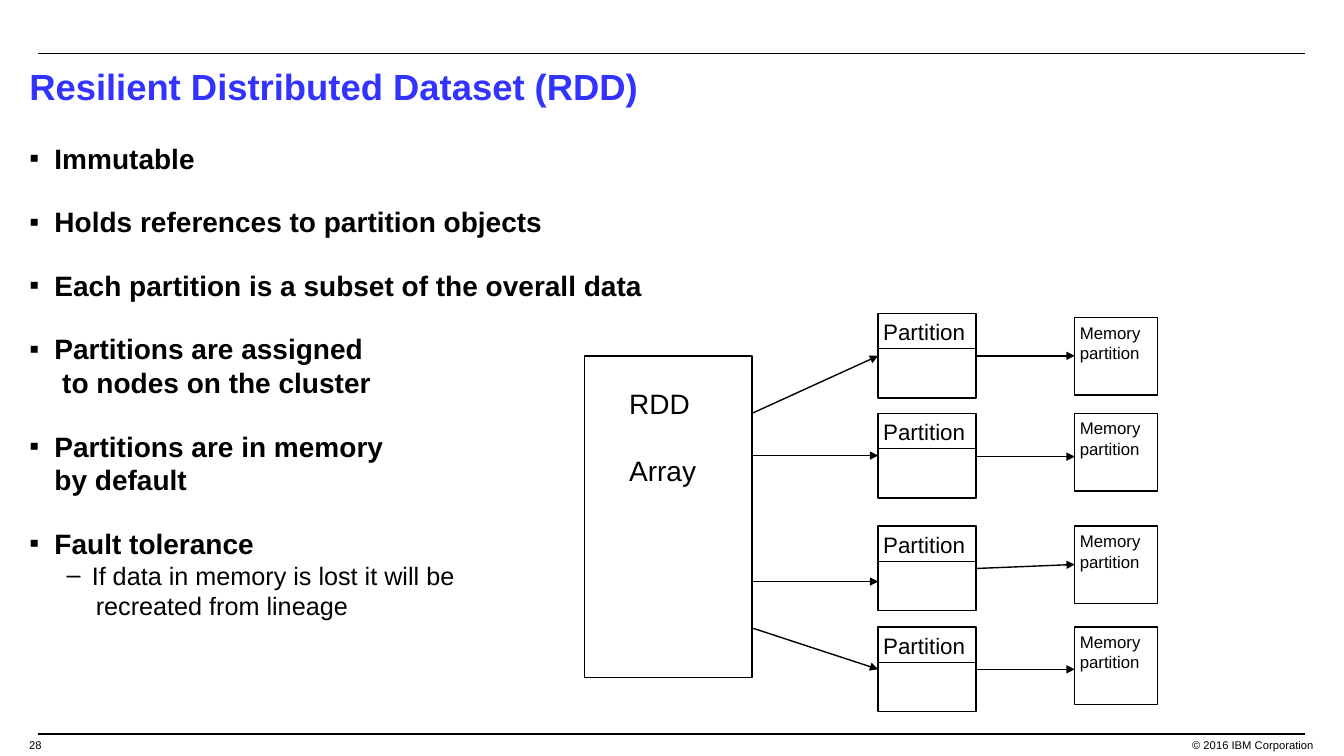
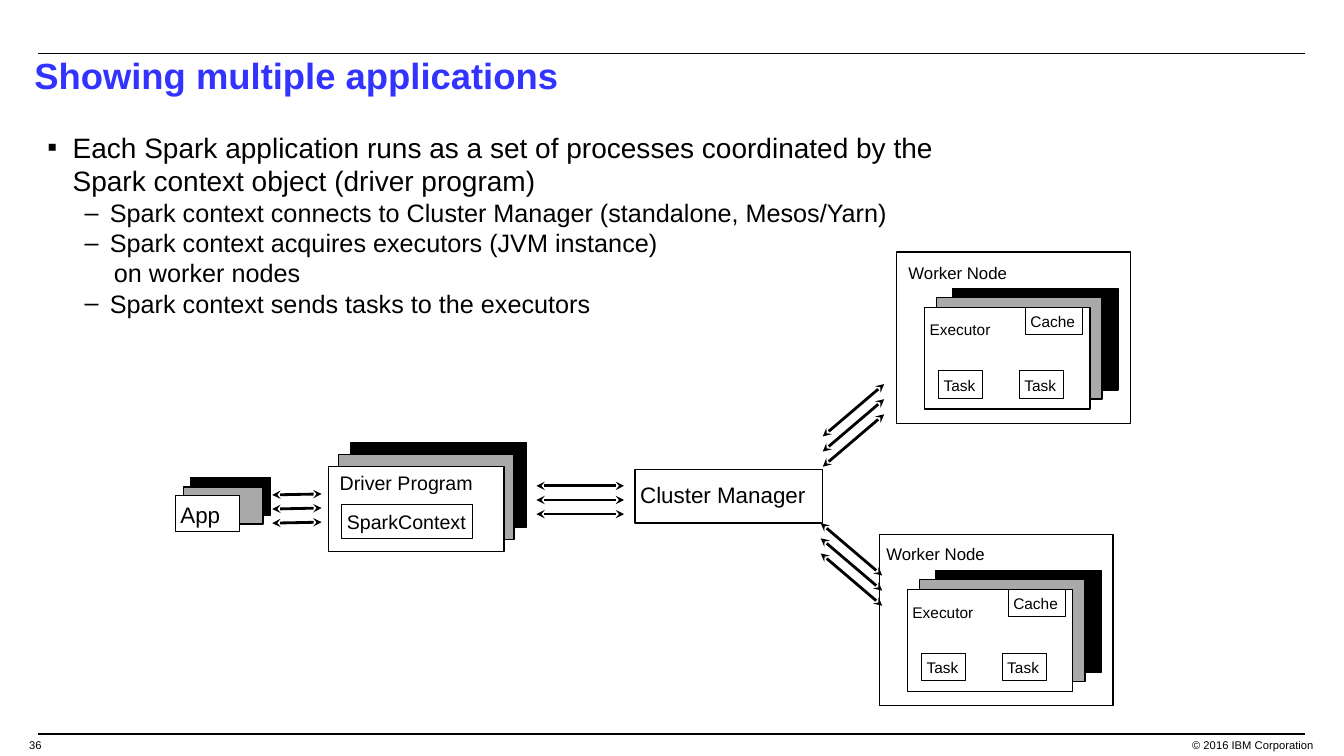
from copy import deepcopy

from lxml import etree
from pptx import Presentation
from pptx.dml.color import RGBColor
from pptx.enum.shapes import MSO_CONNECTOR, MSO_SHAPE
from pptx.enum.text import MSO_ANCHOR, MSO_AUTO_SIZE, PP_ALIGN
from pptx.oxml.ns import qn
from pptx.util import Pt

PX = 9144
FONT = "Arial"
COLORS = {"title": "3333FF", "ink": "000000", "paper": "FFFFFF", "shade": "A9A9A9"}
RECT = MSO_SHAPE.RECTANGLE
STRAIGHT = MSO_CONNECTOR.STRAIGHT
LEFT, RIGHT = PP_ALIGN.LEFT, PP_ALIGN.RIGHT
TOP = MSO_ANCHOR.TOP
NO_FIT = MSO_AUTO_SIZE.NONE

FRAME_FORMAT = {
    "word_wrap": True, "auto_size": NO_FIT, "vertical_anchor": TOP,
    "margin_left": 5 * PX, "margin_top": 5 * PX,
    "margin_right": 5 * PX, "margin_bottom": 5 * PX,
}
BODY_STYLES = {
    "point": {"level": 0, "left": 25, "indent": -25, "bullet": "▪", "size": 20},
    "detail": {"level": 1, "left": 62, "indent": -25, "bullet": "–", "size": 18},
    "continued": {"level": 1, "left": 66, "indent": 0, "bullet": None, "size": 18},
}


def add_box(slide, bounds, lines=(), size=12, weight=1.0, fill=None,
            inset=(5, 5), gap=0, align=LEFT):
    area = [value * PX for value in bounds]
    if weight:
        box = slide.shapes.add_shape(RECT, *area)
        box.shadow.inherit = False
        box.line.width = Pt(weight)
        box.line.color.rgb = RGBColor.from_string(COLORS["ink"])
    else:
        box = slide.shapes.add_textbox(*area)
    if fill:
        box.fill.solid()
        box.fill.fore_color.rgb = RGBColor.from_string(COLORS[fill])
    else:
        box.fill.background()
    frame = box.text_frame
    margins = {"margin_left": inset[0] * PX, "margin_top": inset[1] * PX}
    for key, value in {**FRAME_FORMAT, **margins}.items():
        setattr(frame, key, value)
    for index, line in enumerate(lines):
        paragraph = frame.add_paragraph() if index else frame.paragraphs[0]
        paragraph.alignment = align
        if index and gap:
            paragraph.space_before = Pt(gap)
        run = paragraph.add_run()
        run.text = line
        for key, value in {"name": FONT, "size": Pt(size)}.items():
            setattr(run.font, key, value)
        run.font.color.rgb = RGBColor.from_string(COLORS["ink"])


def add_link(slide, start, end, weight=1.0, head=None, tail=None):
    points = [value * PX for value in (*start, *end)]
    link = slide.shapes.add_connector(STRAIGHT, *points)
    link.line.width = Pt(weight)
    link.line.color.rgb = RGBColor.from_string(COLORS["ink"])
    properties = link.element.spPr
    outline = properties.find(qn("a:ln"))
    for tag, kind in (("a:headEnd", head), ("a:tailEnd", tail)):
        if kind:
            etree.SubElement(outline, qn(tag), type=kind)
    etree.SubElement(properties, qn("a:effectLst"))


PAGES = [
    {
        "number": "28",
        "title": "Resilient Distributed Dataset (RDD)",
        "title_at": (24, 59, 1284, 65),
        "body_at": (24, 135, 1284, 565),
        "bold_points": True,
        "body": [
            ("point", "Immutable"),
            ("point", "Holds references to partition objects"),
            ("point", "Each partition is a subset of the overall data"),
            ("point", "Partitions are assigned\v to nodes on the cluster"),
            ("point", "Partitions are in memory\vby default"),
            ("point", "Fault tolerance"),
            ("detail", "If data in memory is lost it will be"),
            ("continued", "recreated from lineage"),
        ],
    },
    {
        "number": "36",
        "title": "Showing multiple applications",
        "title_at": (29, 48, 969, 67),
        "body_at": (42, 124, 963, 297),
        "bold_points": False,
        "body": [
            ("point", "Each Spark application runs as a set of processes coordinated "
                      "by the Spark context object (driver program)"),
            ("detail", "Spark context connects to Cluster Manager (standalone, Mesos/Yarn)"),
            ("detail", "Spark context acquires executors (JVM instance)"),
            ("continued", "on worker nodes"),
            ("detail", "Spark context sends tasks to the executors"),
        ],
    },
]

deck = Presentation()
deck.slide_width, deck.slide_height = 1333 * PX, 750 * PX
slides = []

for page in PAGES:
    slide = deck.slides.add_slide(deck.slide_layouts[1])
    slides.append(slide)
    for rule_y in (53, 728):
        add_link(slide, (38, rule_y), (1294, rule_y))
    add_box(slide, (1101, 728, 207, 22), ["© 2016 IBM Corporation"], 8, 0, align=RIGHT)
    add_box(slide, (24, 728, 24, 22), [page["number"]], 8, 0)

    title, body = slide.shapes.title, slide.placeholders[1]
    for holder, bounds in ((title, page["title_at"]), (body, page["body_at"])):
        for key, value in zip(("left", "top", "width", "height"), bounds):
            setattr(holder, key, value * PX)
        for key, value in FRAME_FORMAT.items():
            setattr(holder.text_frame, key, value)

    heading = title.text_frame.paragraphs[0]
    heading.alignment = LEFT
    heading_run = heading.add_run()
    heading_run.text = page["title"]
    for key, value in {"name": FONT, "size": Pt(26), "bold": True}.items():
        setattr(heading_run.font, key, value)
    heading_run.font.color.rgb = RGBColor.from_string(COLORS["title"])

    for index, (kind, text) in enumerate(page["body"]):
        style = BODY_STYLES[kind]
        is_point = kind == "point"
        paragraph = body.text_frame.add_paragraph() if index else body.text_frame.paragraphs[0]
        paragraph.text = text
        paragraph.level = style["level"]
        paragraph.space_before = Pt(21.4 if index and is_point else 0)
        properties = paragraph._p.get_or_add_pPr()
        for key, value in (("marL", style["left"]), ("indent", style["indent"])):
            properties.set(key, str(value * PX))
        if style["bullet"]:
            etree.SubElement(properties, qn("a:buFont"), typeface=FONT)
            etree.SubElement(properties, qn("a:buChar"), char=style["bullet"])
        else:
            etree.SubElement(properties, qn("a:buNone"))
        run_format = {"name": FONT, "size": Pt(style["size"]),
                      "bold": is_point and page["bold_points"]}
        for run in paragraph.runs:
            for key, value in run_format.items():
                setattr(run.font, key, value)
            run.font.color.rgb = RGBColor.from_string(COLORS["ink"])
        for line_break in paragraph._p.findall(qn("a:br")):
            line_break.insert(0, deepcopy(paragraph.runs[0]._r.rPr))

dataset, applications = slides

add_box(dataset, (580, 353, 166, 319), ["RDD", "Array"], 20, inset=(44, 30), gap=24)
PARTITION_ROWS = [
    (311, 315, (410, 353), (353, 353)),
    (410, 410, (452, 452), (453, 453)),
    (522, 522, (577, 577), (564, 560)),
    (622, 622, (623, 664), (664, 664)),
]
for partition_y, memory_y, array_link, memory_link in PARTITION_ROWS:
    add_box(dataset, (871, partition_y, 97, 84), ["Partition"], 16)
    add_link(dataset, (871, partition_y + 35), (968, partition_y + 35))
    add_box(dataset, (1066, memory_y, 82, 77), ["Memory", "partition"])
    for (from_x, to_x), (from_y, to_y) in (((746, 871), array_link),
                                           ((968, 1066), memory_link)):
        add_link(dataset, (from_x, from_y), (to_x, to_y), tail="triangle")

WORKERS = [((889, 250), (12, 11)), ((872, 530), (7, 9))]
STACKS = [
    ((79, 37), (189, 474), (182, 483)),
    ((174, 84), (348, 439), (336, 451)),
]
for (x, y), label_inset in WORKERS:
    add_box(applications, (x, y, 232, 170), ["Worker Node"], inset=label_inset)
    STACKS.append(((164, 101), (x + 56, y + 36), (x + 40, y + 45)))
for extent, back, middle in STACKS:
    add_box(applications, (*back, *extent), fill="ink")
    add_box(applications, (*middle, *extent), fill="shade")

for (x, y), label_inset in WORKERS:
    add_box(applications, (x + 28, y + 55, 164, 101), ["Executor"], 11,
            fill="paper", inset=(5, 13))
    for label, dx, dy, width in (("Task", 42, 118, 44), ("Task", 122, 118, 44),
                                 ("Cache", 128, 55, 57)):
        add_box(applications, (x + dx, y + dy, width, 27), [label], 11, 0.75)

add_box(applications, (174, 492, 64, 35), ["App"], 16, 0.75, "paper")
add_box(applications, (326, 463, 174, 84), ["Driver Program"], 14,
        fill="paper", inset=(11, 4))
add_box(applications, (339, 501, 130, 33), ["SparkContext"], 14, 0.75)
add_box(applications, (630, 466, 186, 53), ["Cluster Manager"], 16, inset=(5, 11))

MESSAGES = [
    ((270, 491), (49, -1), 14),
    ((532, 482), (87, 0), 14),
    ((816, 433), (61, -52), 15),
    ((814, 519), (61, 52), 15),
]
for (x, y), (dx, dy), step in MESSAGES:
    for lane in range(3):
        lane_y = y + lane * step
        add_link(applications, (x, lane_y), (x + dx, lane_y + dy), 2,
                 head="stealth", tail="stealth")

deck.save("out.pptx")
